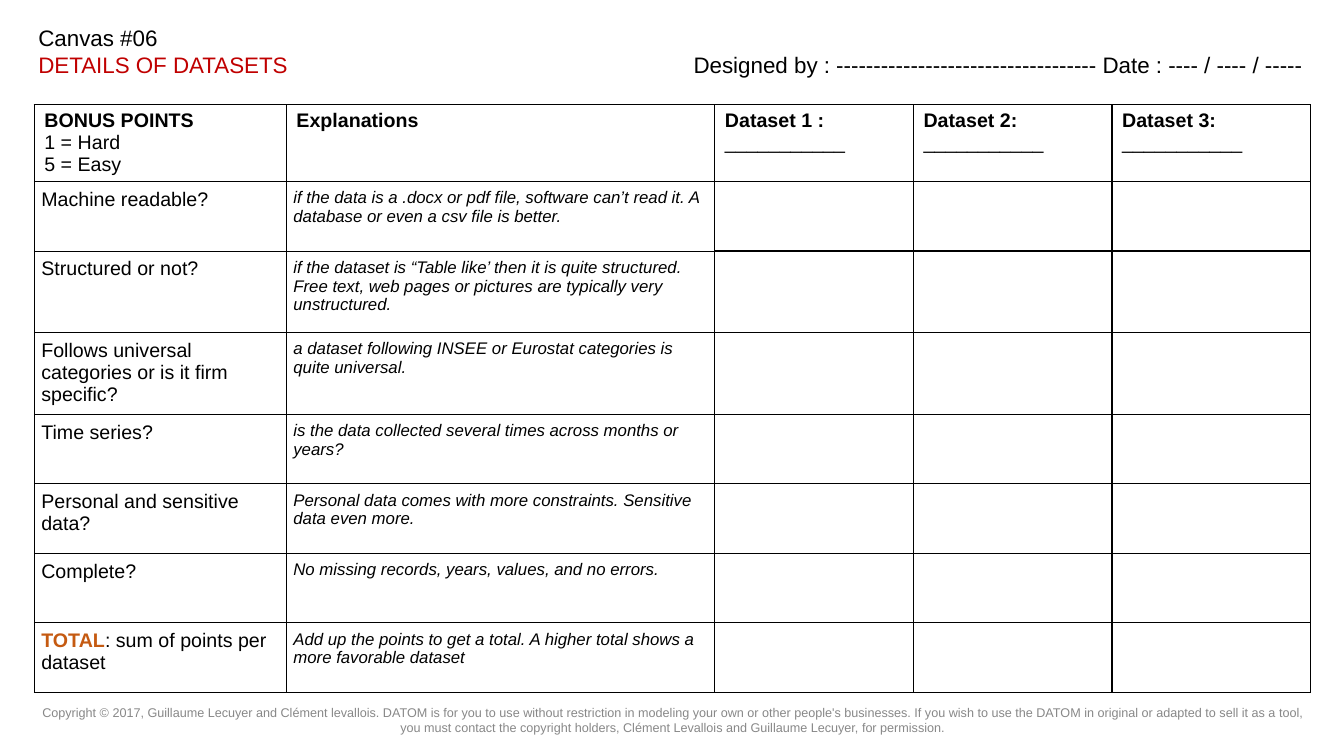
"""Build the dataset-details canvas: header lines, scoring table and copyright footer."""
from dataclasses import dataclass

from pptx import Presentation
from pptx.dml.color import RGBColor
from pptx.enum.text import MSO_ANCHOR, MSO_AUTO_SIZE, PP_ALIGN
from pptx.oxml.ns import qn
from pptx.util import Inches, Pt
from lxml.etree import Element, SubElement

CANVAS = "Canvas #06"
TOPIC = "DETAILS OF DATASETS"
SIGNATURE = "Designed by : ----------------------------------- Date : ---- / ---- / -----"
COPYRIGHT = (
    "Copyright © 2017, Guillaume Lecuyer and Clément levallois. DATOM is for you to use without "
    "restriction in modeling your own or other people's businesses. If you wish to use the DATOM in "
    "original or adapted to sell it as a tool, you must contact the copyright holders, Clément "
    "Levallois and Guillaume Lecuyer, for permission."
)
BLANK_LINE = "___________"
HEADINGS = [
    ["BONUS POINTS", "1 = Hard", "5 = Easy"],
    ["Explanations"],
    ["Dataset 1 :", BLANK_LINE],
    ["Dataset 2:", BLANK_LINE],
    ["Dataset 3:", BLANK_LINE],
]
CRITERIA = [
    ("Machine readable?",
     "if the data is a .docx or pdf file, software can’t read it. A database or even a csv file is better."),
    ("Structured or not?",
     "if the dataset is “Table like’ then it is quite structured. Free text, web pages or pictures "
     "are typically very unstructured."),
    ("Follows universal categories or is it firm specific?",
     "a dataset following INSEE or Eurostat categories is quite universal."),
    ("Time series?", "is the data collected several times across months or years?"),
    ("Personal and sensitive data?",
     "Personal data comes with more constraints. Sensitive data even more."),
    ("Complete?", "No missing records, years, values, and no errors."),
]
TOTAL = ("TOTAL", ": sum of points per dataset")
TOTAL_EXPLANATION = "Add up the points to get a total. A higher total shows a more favorable dataset"

SLIDE_WIDTH, SLIDE_HEIGHT = 13.33, 7.5
HEADER_TOP, HEADER_WIDTH, HEADER_HEIGHT = 0.14, 6.39, 0.44
HEADER_LEFT, HEADER_STEP = 0.28, 6.5
TABLE_LEFT, TABLE_TOP = 0.34, 1.04
ROW_HEIGHTS = [0.76, 0.69] + [0.81] * 2 + [0.69] * 4
COLUMN_WIDTHS = [2.5, 4.25] + [1.97] * 3
TEXT_COLUMNS = 2
HEADING_INSETS = (0.1, 0.05, 0.1, 0.05)
BODY_INSETS = (0.07,) * 4


@dataclass(frozen=True)
class Theme:
    font: str = "Arial"
    black: str = "000000"
    white: str = "FFFFFF"
    red: str = "C00000"
    orange: str = "C55A11"
    grey: str = "888888"
    header: int = 16
    label: int = 14
    explanation: int = 12
    footer: int = 9
    thick: float = 1
    thin: float = 0.75


THEME = Theme()


def add_run(paragraph, text, size, color=THEME.black, bold=False, italic=False):
    run = paragraph.add_run()
    run.text = text
    font = run.font
    font.name, font.size, font.bold, font.italic = THEME.font, Pt(size), bold, italic
    font.color.rgb = RGBColor.from_string(color)


def set_insets(target, insets):
    sides = ("margin_left", "margin_top", "margin_right", "margin_bottom")
    for side, inset in zip(sides, insets):
        setattr(target, side, Inches(inset))


def prepare_frame(shape, insets):
    frame = shape.text_frame
    frame.word_wrap = True
    frame.auto_size = MSO_AUTO_SIZE.NONE
    frame.vertical_anchor = MSO_ANCHOR.TOP
    set_insets(frame, insets)
    return frame.paragraphs[0]


def set_borders(cell, left, right, top, bottom):
    properties = cell._tc.get_or_add_tcPr()
    widths = {"a:lnL": left, "a:lnR": right, "a:lnT": top, "a:lnB": bottom}
    for position, (tag, width) in enumerate(widths.items()):
        line = Element(qn(tag), w=str(Pt(width)))
        fill = SubElement(line, qn("a:solidFill"))
        SubElement(fill, qn("a:srgbClr"), val=THEME.black)
        properties.insert(position, line)


def add_headers(slide):
    box = [Inches(v) for v in (HEADER_LEFT, HEADER_TOP, HEADER_WIDTH, HEADER_HEIGHT)]
    title = slide.shapes.title
    title.left, title.top, title.width, title.height = box
    paragraph = prepare_frame(title, (0.1,) * 4)
    paragraph.alignment = PP_ALIGN.LEFT
    add_run(paragraph, CANVAS, THEME.header)
    paragraph.add_line_break()
    add_run(paragraph, TOPIC, THEME.header, THEME.red)

    box[0] += Inches(HEADER_STEP)
    paragraph = prepare_frame(slide.shapes.add_textbox(*box), (0.1,) * 4)
    paragraph.line_spacing = 2.0
    paragraph.space_after = Pt(6)
    add_run(paragraph, SIGNATURE, THEME.header)


def add_footer(slide):
    box = slide.shapes.add_textbox(Inches(0.31), Inches(6.94), Inches(12.72), Inches(0.56))
    paragraph = prepare_frame(box, HEADING_INSETS)
    paragraph.alignment = PP_ALIGN.CENTER
    add_run(paragraph, COPYRIGHT, THEME.footer, THEME.grey)


def fill_heading(cell, lines):
    frame = cell.text_frame
    for index, line in enumerate(lines):
        paragraph = frame.add_paragraph() if index else frame.paragraphs[0]
        add_run(paragraph, line, THEME.label, bold=index == 0)


def add_score_table(slide):
    row_count = len(ROW_HEIGHTS)
    table = slide.shapes.add_table(
        row_count, len(COLUMN_WIDTHS), Inches(TABLE_LEFT), Inches(TABLE_TOP),
        Inches(sum(COLUMN_WIDTHS)), Inches(sum(ROW_HEIGHTS))).table
    table.first_row = table.horz_banding = False
    for column, width in zip(table.columns, COLUMN_WIDTHS):
        column.width = Inches(width)

    for row_index, (row, height) in enumerate(zip(table.rows, ROW_HEIGHTS)):
        row.height = Inches(height)
        for column_index, cell in enumerate(row.cells):
            is_heading, is_text = row_index == 0, column_index < TEXT_COLUMNS
            set_insets(cell, BODY_INSETS if is_text and not is_heading else HEADING_INSETS)
            if is_heading:
                cell.fill.solid()
                cell.fill.fore_color.rgb = RGBColor.from_string(THEME.white)
                bottom = THEME.thin if is_text else THEME.thick
                set_borders(cell, THEME.thick, THEME.thick, THEME.thick, bottom)
            else:
                cell.fill.background()
                width = THEME.thin if is_text else THEME.thick
                left = THEME.thin if column_index <= TEXT_COLUMNS else THEME.thick
                set_borders(cell, left, width, width, width)

    for column_index, lines in enumerate(HEADINGS):
        fill_heading(table.cell(0, column_index), lines)
    explanations = [explanation for _, explanation in CRITERIA] + [TOTAL_EXPLANATION]
    for row_index, explanation in enumerate(explanations, start=1):
        paragraph = table.cell(row_index, 1).text_frame.paragraphs[0]
        add_run(paragraph, explanation, THEME.explanation, italic=True)
    for row_index, (label, _) in enumerate(CRITERIA, start=1):
        add_run(table.cell(row_index, 0).text_frame.paragraphs[0], label, THEME.label)
    paragraph = table.cell(row_count - 1, 0).text_frame.paragraphs[0]
    add_run(paragraph, TOTAL[0], THEME.label, THEME.orange, bold=True)
    add_run(paragraph, TOTAL[1], THEME.label)


def main():
    presentation = Presentation()
    presentation.slide_width = Inches(SLIDE_WIDTH)
    presentation.slide_height = Inches(SLIDE_HEIGHT)
    slide = presentation.slides.add_slide(presentation.slide_layouts.get_by_name("Title Only"))
    add_footer(slide)
    add_headers(slide)
    add_score_table(slide)
    presentation.save("out.pptx")


if __name__ == "__main__":
    main()
